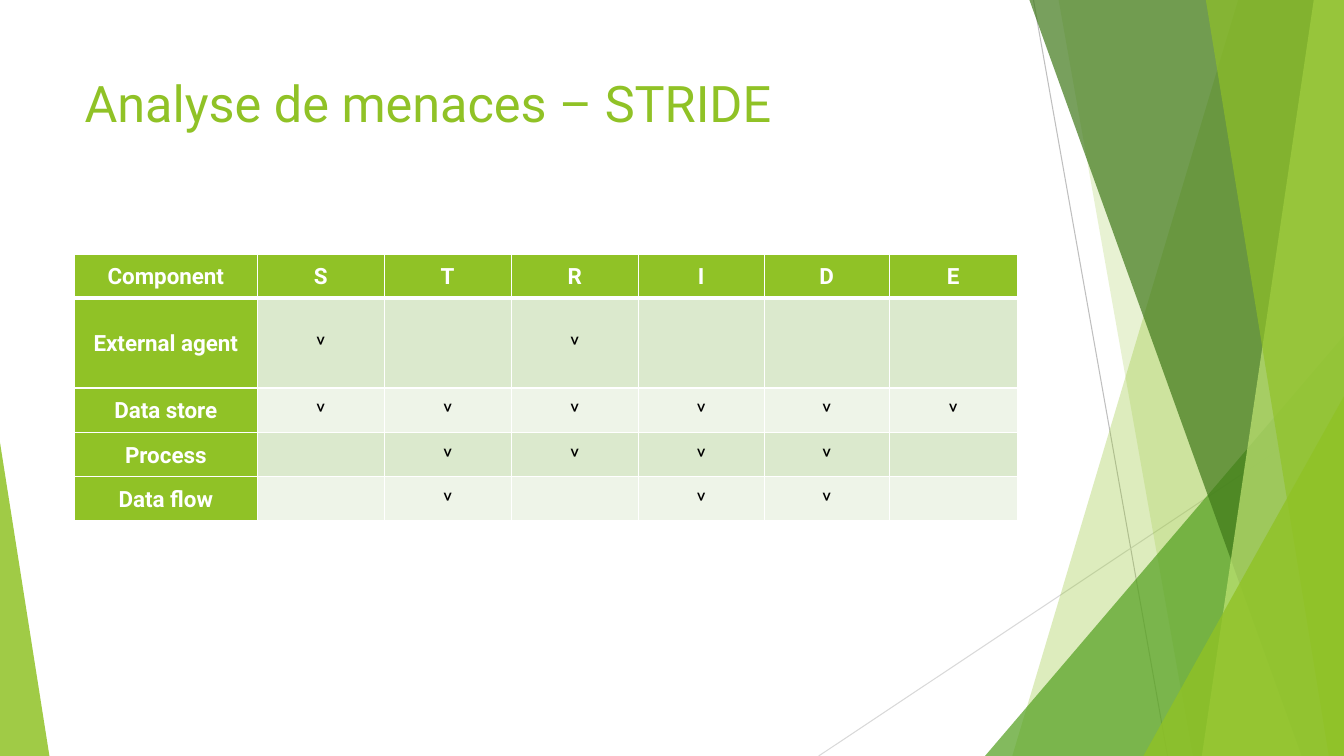
from lxml import etree
from pptx import Presentation
from pptx.dml.color import RGBColor
from pptx.enum.shapes import MSO_CONNECTOR, MSO_SHAPE
from pptx.enum.text import MSO_ANCHOR, PP_ALIGN
from pptx.oxml.ns import qn
from pptx.util import Inches, Pt

STRAIGHT = MSO_CONNECTOR.STRAIGHT
TRIANGLE = MSO_SHAPE.ISOSCELES_TRIANGLE
MIDDLE, TOP = MSO_ANCHOR.MIDDLE, MSO_ANCHOR.TOP
CENTER = PP_ALIGN.CENTER

WIDTH, HEIGHT = 13.33, 7.5
FONT = "Roboto"
GREEN, WHITE, BLACK = "90C226", "FFFFFF", "000000"
BANDS = ["DBE9CD", "EEF4E8"]

TITLE = "Analyse de menaces – STRIDE"
THREATS = "STRIDE"
COMPONENTS = [
    ("External agent", "SR"),
    ("Data store", "STRIDE"),
    ("Process", "TRID"),
    ("Data flow", "TID"),
]
TICK = "˅"
COLUMN_WIDTHS = [1.81, 1.26, 1.26, 1.26, 1.25, 1.24, 1.27]
ROW_HEIGHTS = [0.44, 0.89, 0.44, 0.44, 0.44]

# Start, end, colour
THIN_LINES = [
    ((10.25, 0), (11.58, HEIGHT), "BFBFBF"),
    ((WIDTH, 4.03), (8.12, HEIGHT), "D9D9D9"),
]
# Facets from back to front.
# Band: top left x, bottom left x, colour, opacity in percent
# Triangle: left, top, width, apex position, colour, opacity in percent
FACETS = [
    ("band", 12.28, 10.04, GREEN, 30),
    ("band", 10.5, 11.83, GREEN, 20),
    ("triangle", 9.77, 3.33, 3.56, 1, "54A021", 72),
    ("band", 10.21, 12.91, "3F7819", 70),
    ("band", 13.03, 11.92, "C0E474", 70),
    ("band", 11.96, 13.18, GREEN, 65),
    ("triangle", 11.34, 3.93, 1.99, 1, GREEN, 80),
    ("triangle", 0, 4.39, 0.49, 0, GREEN, 85),
]


def rgb(value):
    return RGBColor.from_string(value)


def add_thin_line(slide, start, end, color):
    ends = [Inches(value) for value in start + end]
    line = slide.shapes.add_connector(STRAIGHT, *ends)
    line.line.color.rgb = rgb(color)
    line.line.width = Pt(0.75)
    etree.SubElement(line._element.spPr, qn("a:effectLst"))


def paint(shape, color, opacity):
    shape.shadow.inherit = False
    shape.line.fill.background()
    shape.fill.solid()
    shape.fill.fore_color.rgb = rgb(color)
    color_element = shape._element.spPr.find(qn("a:solidFill"))[0]
    etree.SubElement(color_element, qn("a:alpha"), val=str(opacity * 1000))


def add_band(slide, top_x, bottom_x, color, opacity):
    """Draw a facet that reaches from a slanted left edge to the slide's right edge."""
    corners = [(top_x, 0), (WIDTH, 0), (WIDTH, HEIGHT), (bottom_x, HEIGHT)]
    points = [(Inches(x), Inches(y)) for x, y in corners]
    builder = slide.shapes.build_freeform(*points[0])
    builder.add_line_segments(points[1:], close=True)
    paint(builder.convert_to_shape(), color, opacity)


def add_triangle(slide, left, top, width, apex, color, opacity):
    shape = slide.shapes.add_shape(
        TRIANGLE, Inches(left), Inches(top), Inches(width), Inches(HEIGHT - top))
    shape.adjustments[0] = apex
    paint(shape, color, opacity)


def add_run(paragraph, text, size, color, bold=False):
    run = paragraph.add_run()
    run.text = text
    run.font.name = FONT
    run.font.size = Pt(size)
    run.font.bold = bold
    run.font.color.rgb = rgb(color)


def add_title(slide):
    box = slide.shapes.add_textbox(Inches(0.74), Inches(0.67), Inches(9.4), Inches(1.44))
    frame = box.text_frame
    frame.word_wrap = True
    frame.vertical_anchor = TOP
    add_run(frame.paragraphs[0], TITLE, 36, GREEN)


def add_borders(cell, **widths):
    """Give the cell white borders, 1 point wide unless a side is named."""
    properties = cell._tc.get_or_add_tcPr()
    for side in ("lnL", "lnR", "lnT", "lnB"):
        width = Pt(widths.get(side, 1))
        border = etree.SubElement(properties, qn("a:" + side), w=str(width))
        fill = etree.SubElement(border, qn("a:solidFill"))
        etree.SubElement(fill, qn("a:srgbClr"), val=WHITE)


def fill_cell(cell, text, row, column):
    is_heading = row == 0 or column == 0
    add_borders(cell, **{0: {"lnB": 3}, 1: {"lnT": 3}}.get(row, {}))
    cell.fill.solid()
    cell.fill.fore_color.rgb = rgb(GREEN if is_heading else BANDS[(row - 1) % 2])
    cell.margin_left = cell.margin_right = Inches(0.07)
    cell.margin_top = cell.margin_bottom = 0
    cell.vertical_anchor = MIDDLE
    if text:
        paragraph = cell.text_frame.paragraphs[0]
        paragraph.alignment = CENTER
        paragraph.line_spacing = 1.07
        add_run(paragraph, text, 16, WHITE if is_heading else BLACK, is_heading)


def add_threat_table(slide):
    rows = [["Component", *THREATS]]
    for name, threats in COMPONENTS:
        rows.append([name] + [TICK if letter in threats else "" for letter in THREATS])
    table = slide.shapes.add_table(
        len(rows), len(rows[0]), Inches(0.74), Inches(2.52),
        Inches(sum(COLUMN_WIDTHS)), Inches(sum(ROW_HEIGHTS))).table
    table.first_row = table.horz_banding = False
    for column, width in zip(table.columns, COLUMN_WIDTHS):
        column.width = Inches(width)
    for row, height in zip(table.rows, ROW_HEIGHTS):
        row.height = Inches(height)
    for row, texts in enumerate(rows):
        for column, text in enumerate(texts):
            fill_cell(table.cell(row, column), text, row, column)


def main():
    presentation = Presentation()
    presentation.slide_width = Inches(WIDTH)
    presentation.slide_height = Inches(HEIGHT)
    slide = presentation.slides.add_slide(presentation.slide_layouts[6])
    for start, end, color in THIN_LINES:
        add_thin_line(slide, start, end, color)
    for kind, *values in FACETS:
        if kind == "band":
            add_band(slide, *values)
        else:
            add_triangle(slide, *values)
    add_title(slide)
    add_threat_table(slide)
    presentation.save("out.pptx")


if __name__ == "__main__":
    main()
